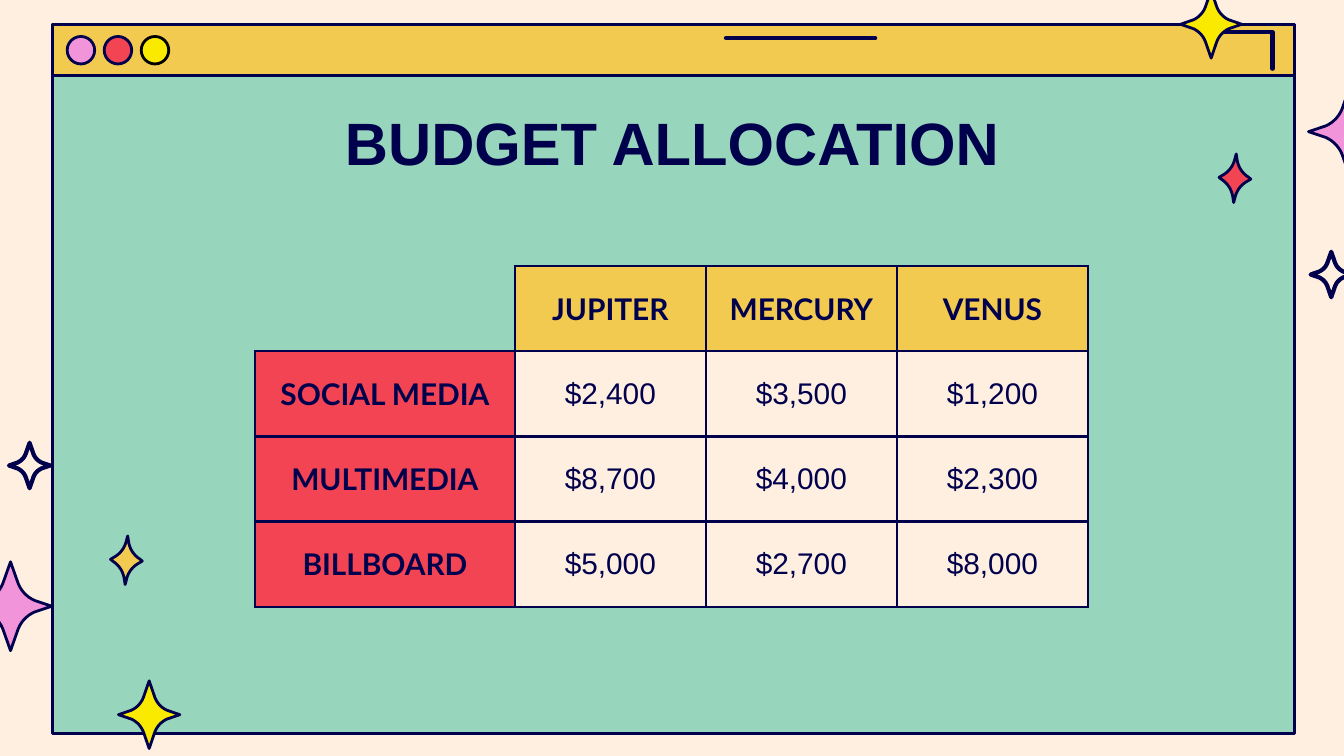
from lxml.etree import SubElement
from pptx import Presentation
from pptx.dml.color import RGBColor
from pptx.enum.shapes import MSO_CONNECTOR as CONN, MSO_SHAPE as SHAPE
from pptx.enum.text import MSO_ANCHOR as ANCHOR, PP_ALIGN as ALIGN
from pptx.oxml.ns import qn
from pptx.util import Cm, Pt

NAVY, CREAM, GREEN, GOLD = "00004D", "FFEFE1", "97D5BC", "F3CA50"
RED, YELLOW, PINK = "F24452", "FAEA00", "F294D9"
rgb = RGBColor.from_string


def style(s, fill=None, line=NAVY, width=1.5):
    """Fill and outline a shape, with round line ends and corners."""
    s.shadow.inherit = False
    if fill:
        s.fill.solid()
        s.fill.fore_color.rgb = rgb(fill)
    else:
        s.fill.background()
    s.line.color.rgb = rgb(line)
    s.line.width = Pt(width)
    ln = s.line._get_or_add_ln()
    ln.set("cap", "rnd")
    SubElement(ln, qn("a:round"))


def write(tf, text, size, font, bold):
    p = tf.paragraphs[0]
    p.alignment = ALIGN.CENTER
    r = p.add_run()
    r.text = text
    for name, value in {"size": Pt(size), "name": font, "bold": bold}.items():
        setattr(r.font, name, value)
    r.font.color.rgb = rgb(NAVY)


prs = Presentation()
prs.slide_width, prs.slide_height = Cm(25.4), Cm(14.29)
slide = prs.slides.add_slide(prs.slide_layouts[5])
slide.background.fill.solid()
slide.background.fill.fore_color.rgb = rgb(CREAM)
shapes = slide.shapes

# Browser window: body, title bar, marks and buttons
for height, fill in ((13.41, GREEN), (0.97, GOLD)):
    style(shapes.add_shape(SHAPE.RECTANGLE, Cm(0.99), Cm(0.46), Cm(23.47), Cm(height)), fill)

corner = shapes.build_freeform(Cm(23.11), Cm(0.61))
corner.add_line_segments([(Cm(24.05), Cm(0.61)), (Cm(24.05), Cm(1.3))], close=False)
style(corner.convert_to_shape(), width=2.25)

bar = shapes.add_connector(CONN.STRAIGHT, Cm(13.72), Cm(0.72), Cm(16.54), Cm(0.72))
bar.line.color.rgb = rgb(NAVY)
bar.line.width = Pt(2.25)
bar.line._get_or_add_ln().set("cap", "rnd")
SubElement(bar._element.spPr, qn("a:effectLst"))

for i, (fill, line) in enumerate(((PINK, NAVY), (RED, NAVY), (YELLOW, "000000"))):
    style(shapes.add_shape(SHAPE.OVAL, Cm(1.27 + 0.7 * i), Cm(0.69), Cm(0.52), Cm(0.52)), fill, line)

# Title, raised above the window
title = shapes.title
title._element.getparent().append(title._element)
title.left, title.top, title.width, title.height = Cm(1.96), Cm(1.63), Cm(21.49), Cm(1.6)
tf = title.text_frame
tf.vertical_anchor = ANCHOR.TOP
tf.margin_top = Cm(0.37)
write(tf, "BUDGET ALLOCATION", 32, "Arial", True)

# Budget table
rows = [
    ["", "JUPITER", "MERCURY", "VENUS"],
    ["SOCIAL MEDIA", "$2,400", "$3,500", "$1,200"],
    ["MULTIMEDIA", "$8,700", "$4,000", "$2,300"],
    ["BILLBOARD", "$5,000", "$2,700", "$8,000"],
]
table = shapes.add_table(4, 4, Cm(4.82), Cm(5.03), Cm(15.74), Cm(6.44)).table
table.first_row = table.horz_banding = False
for i, width in enumerate((4.91, 3.61, 3.61, 3.61)):
    table.columns[i].width = Cm(width)
for i, row in enumerate(rows):
    table.rows[i].height = Cm(1.61)
    for j, text in enumerate(row):
        cell = table.cell(i, j)
        tcPr = cell._tc.get_or_add_tcPr()
        for side in "LRTB":
            ln = SubElement(tcPr, qn(f"a:ln{side}"), w=str(Pt(1.5)))
            if text or side in "RB":
                SubElement(SubElement(ln, qn("a:solidFill")), qn("a:srgbClr"), val=NAVY)
            else:
                SubElement(ln, qn("a:noFill"))
        if not text:
            cell.fill.background()
            continue
        cell.fill.solid()
        cell.fill.fore_color.rgb = rgb(GOLD if i == 0 else RED if j == 0 else CREAM)
        cell.vertical_anchor = ANCHOR.MIDDLE
        heading = i == 0 or j == 0
        write(cell.text_frame, text, 16, "Lato" if heading else "Arial", heading)

# Sparkles: each quarter is a straight tip, a Bezier curve and another tip
WIDE = ((-0.16, -0.58), (-0.23, -0.36), (-0.39, -0.21), (-0.58, -0.13))
SLIM = ((-0.08, -0.75), (-0.17, -0.48), (-0.42, -0.23), (-0.85, -0.07))
sparkles = [  # centre x, centre y, half width, half height, curve, fill, line width, rotation
    (2.39, 10.59, 0.3, 0.46, SLIM, GOLD, 1.5, 3),
    (0.56, 8.8, 0.39, 0.43, WIDE, None, 2.25, 0),
    (2.82, 13.51, 0.58, 0.64, WIDE, YELLOW, 1.5, 0),
    (0.2, 11.46, 0.78, 0.84, WIDE, PINK, 1.5, 0),
    (23.34, 3.37, 0.3, 0.46, SLIM, RED, 1.5, 3),
    (25.16, 5.19, 0.39, 0.43, WIDE, None, 2.25, 0),
    (22.89, 0.46, 0.58, 0.64, WIDE, YELLOW, 1.5, 0),
    (25.51, 2.49, 0.78, 0.84, WIDE, PINK, 1.5, 0),
]
for cx, cy, half_w, half_h, curve, fill, width, rotation in sparkles:
    quarter = [(0, -1)]
    for step in range(9):
        t = step / 8
        weights = ((1 - t) ** 3, 3 * t * (1 - t) ** 2, 3 * t * t * (1 - t), t ** 3)
        quarter.append(tuple(sum(w * pt[k] for w, pt in zip(weights, curve)) for k in (0, 1)))
    quarter.append((-1, 0))
    points = []
    for flip_x, flip_y, order in ((1, 1, 1), (1, -1, -1), (-1, -1, 1), (-1, 1, -1)):
        points += [(Cm(cx + flip_x * half_w * x), Cm(cy + flip_y * half_h * y))
                   for x, y in quarter[::order][:-1]]
    outline = shapes.build_freeform(*points[0])
    outline.add_line_segments(points[1:])
    sp = outline.convert_to_shape()
    sp.rotation = rotation
    style(sp, fill, width=width)

prs.save("out.pptx")
